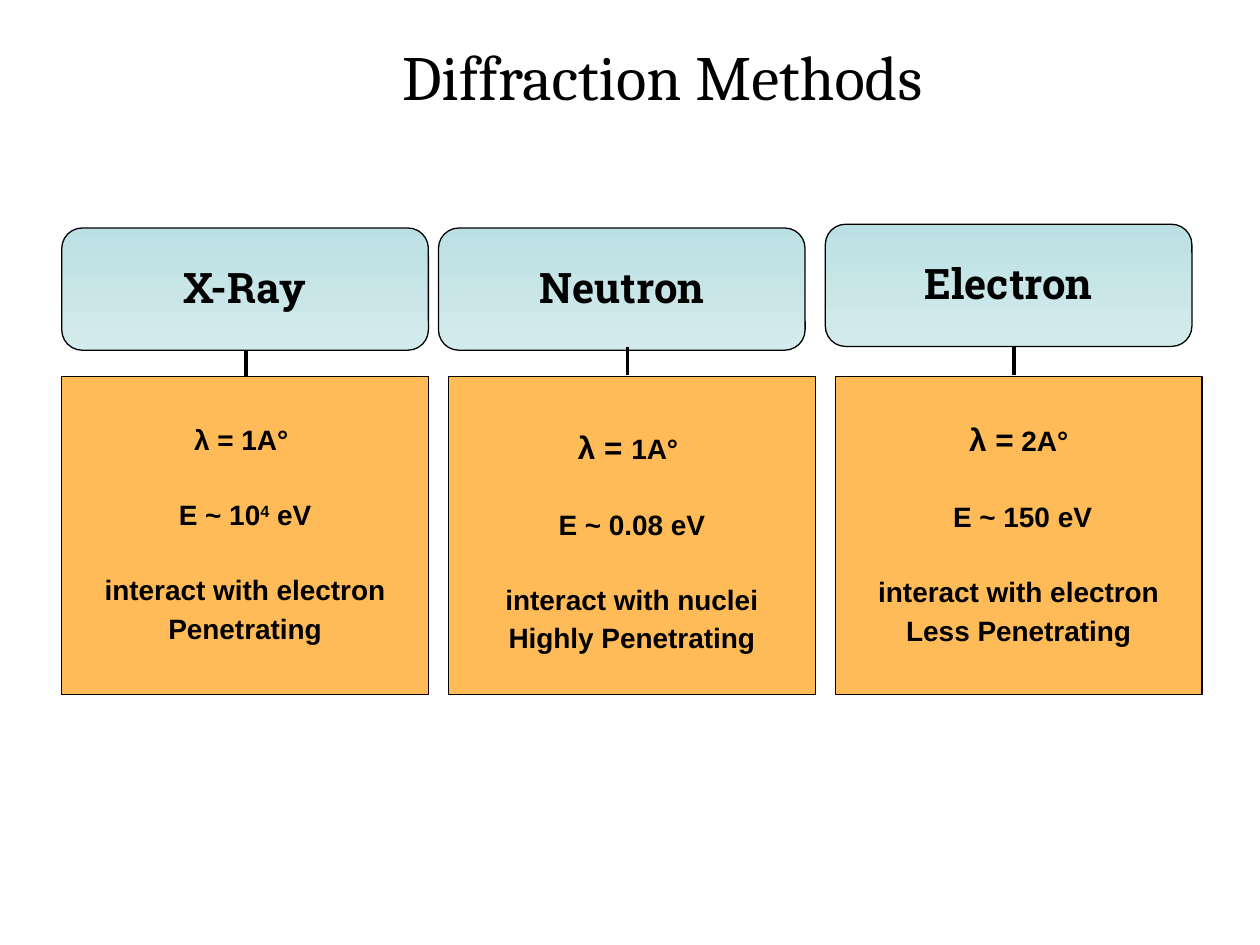
"""Build a slide that compares three diffraction methods."""
from dataclasses import dataclass

import lxml.etree
import pptx
import pptx.dml.color
import pptx.enum.shapes
import pptx.enum.text
import pptx.oxml.ns
import pptx.util

PX = 9144
SHAPE = pptx.enum.shapes.MSO_SHAPE
CENTER = pptx.enum.text.PP_ALIGN.CENTER
ANCHOR = pptx.enum.text.MSO_ANCHOR


@dataclass(frozen=True)
class Theme:
    ink: str = "000000"
    head_top: str = "BBE0E3"
    head_bottom: str = "D4EBED"
    body: str = "FFBB57"
    title_font: str = "Cambria"
    head_font: str = "Roboto Slab"
    body_font: str = "Arial"
    title_size: int = 36
    head_size: int = 24
    large_size: int = 18
    body_size: int = 16
    outline: float = 0.75
    link: float = 2.25
    spacing: float = 0.93
    tight: int = 4
    apart: int = 25


THEME = Theme()


@dataclass(frozen=True)
class Run:
    text: str
    size: int = THEME.body_size
    raised: bool = False


@dataclass(frozen=True)
class Method:
    name: str
    head_x: int
    head_y: int
    body_x: int
    link_x: int
    link_end: int
    wavelength: list[Run]
    energy: list[Run]
    target: str
    strength: str
    drop: int = 0


METHODS = [
    Method("X-Ray", 49, 181, 49, 195, 299,
           [Run("λ = 1A° ")],
           [Run("E ~ 10"), Run("4", raised=True), Run(" eV")],
           "interact with electron", "Penetrating"),
    Method("Neutron", 348, 181, 356, 498, 298,
           [Run("λ = ", THEME.large_size), Run("1A° ")],
           [Run("E ~ 0.08 eV")],
           "interact with nuclei", "Highly Penetrating", drop=12),
    Method("Electron", 655, 178, 663, 805, 298,
           [Run("λ =", THEME.large_size), Run(" 2A°")],
           [Run(" E ~ 150 eV")],
           "interact with electron", "Less Penetrating"),
]
BOX_W, HEAD_H, BODY_Y, BODY_H, LINK_Y = 291, 97, 299, 252, 275


def px(n: int) -> pptx.util.Emu:
    """Turn px into EMU."""
    return pptx.util.Emu(n * PX)


def rgb(value: str) -> pptx.dml.color.RGBColor:
    """Turn a hex string into a colour."""
    return pptx.dml.color.RGBColor.from_string(value)


def add_text(p, text: str, *, font: str, size: int, bold: bool = True, raised: bool = False) -> None:
    """Add one formatted run to a paragraph."""
    r = p.add_run()
    r.text = text
    r.font.name, r.font.size, r.font.bold = font, pptx.util.Pt(size), bold
    r.font.color.rgb = rgb(THEME.ink)
    if raised:
        r.font._element.set("baseline", "30000")


def add_box(s, x: int, y: int, h: int, radius: float):
    """Add an outlined box with unwrapped, vertically centred text."""
    sp = s.shapes.add_shape(SHAPE.ROUNDED_RECTANGLE, px(x), px(y), px(BOX_W), px(h))
    sp.adjustments[0] = radius
    sp.shadow.inherit = False
    sp.line.color.rgb = rgb(THEME.ink)
    sp.line.width = pptx.util.Pt(THEME.outline)
    sp.text_frame.word_wrap = False
    sp.text_frame.vertical_anchor = ANCHOR.MIDDLE
    return sp


def add_head(s, m: Method) -> None:
    """Add the gradient heading of a method."""
    sp = add_box(s, m.head_x, m.head_y, HEAD_H, 0.167)
    sp.fill.gradient()
    sp.fill.gradient_angle = 270
    for stop, color in zip(sp.fill.gradient_stops, (THEME.head_top, THEME.head_bottom)):
        stop.color.rgb = rgb(color)
    p = sp.text_frame.paragraphs[0]
    p.alignment, p.line_spacing, p.space_before = CENTER, THEME.spacing, pptx.util.Pt(6)
    add_text(p, m.name, font=THEME.head_font, size=THEME.head_size)


def add_body(s, m: Method) -> None:
    """Add the property box of a method."""
    sp = add_box(s, m.body_x, BODY_Y, BODY_H, 0)
    sp.fill.solid()
    sp.fill.fore_color.rgb = rgb(THEME.body)
    tf = sp.text_frame
    tf.margin_top = px(5 + m.drop)
    lines = [
        (m.wavelength, THEME.tight),
        (m.energy, THEME.apart),
        ([Run(m.target)], THEME.apart),
        ([Run(m.strength)], THEME.tight),
    ]
    for i, (runs, before) in enumerate(lines):
        p = tf.add_paragraph() if i else tf.paragraphs[0]
        p.alignment, p.line_spacing, p.space_before = CENTER, THEME.spacing, pptx.util.Pt(before)
        for run in runs:
            add_text(p, run.text, font=THEME.body_font, size=run.size, raised=run.raised)


def add_link(s, m: Method) -> None:
    """Add the line from a heading to its property box."""
    top = m.head_y + HEAD_H if m is METHODS[0] else LINK_Y
    sp = s.shapes.add_connector(pptx.enum.shapes.MSO_CONNECTOR.STRAIGHT,
                                px(m.link_x), px(m.link_end), px(m.link_x), px(top))
    sp.line.color.rgb = rgb(THEME.ink)
    sp.line.width = pptx.util.Pt(THEME.link)
    lxml.etree.SubElement(sp._element.spPr, pptx.oxml.ns.qn("a:effectLst"))


def add_title(s, text: str) -> None:
    """Place and format the title placeholder."""
    sp = s.shapes.title
    sp.left, sp.top, sp.width, sp.height = px(142), px(25), px(767), px(167)
    tf = sp.text_frame
    tf.word_wrap = True
    tf.auto_size = pptx.enum.text.MSO_AUTO_SIZE.NONE
    tf.vertical_anchor = ANCHOR.TOP
    p = tf.paragraphs[0]
    p.alignment = CENTER
    add_text(p, text, font=THEME.title_font, size=THEME.title_size, bold=False)


def main() -> None:
    """Build and save the slide."""
    prs = pptx.Presentation()
    prs.slide_width, prs.slide_height = px(1000), px(750)
    s = prs.slides.add_slide(prs.slide_layouts[5])
    add_title(s, "Diffraction Methods")
    for m in METHODS:
        add_head(s, m)
        add_body(s, m)
        add_link(s, m)
    prs.save("out.pptx")


if __name__ == "__main__":
    main()
